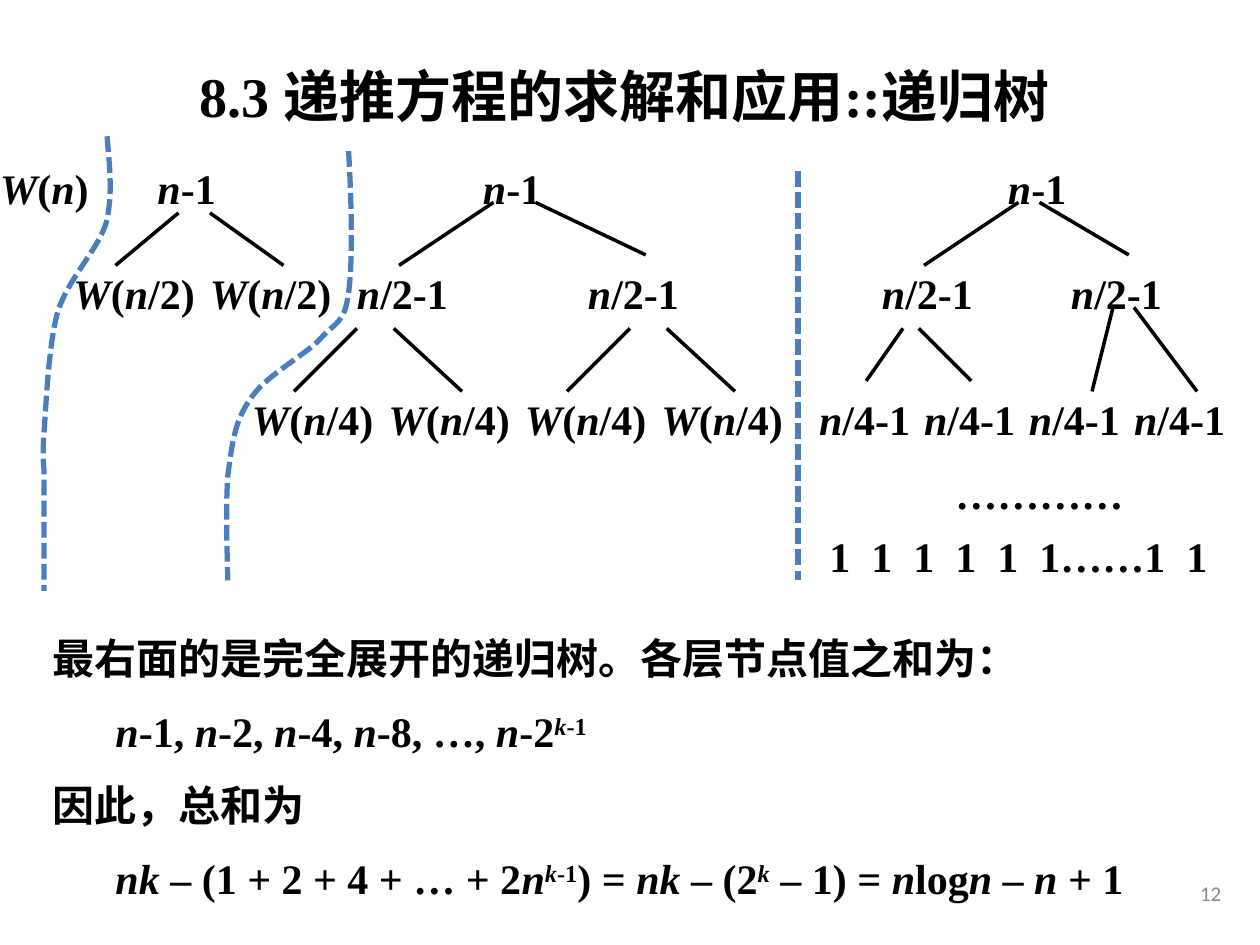
from lxml.etree import SubElement
from pptx import Presentation
from pptx.dml.color import RGBColor
from pptx.enum.dml import MSO_LINE
from pptx.enum.shapes import MSO_CONNECTOR
from pptx.enum.text import MSO_ANCHOR, PP_ALIGN
from pptx.oxml.ns import qn
from pptx.util import Inches, Pt

UNIT = 1 / 12   # grid step in inches
TOP = 0.19      # height of grid row 0


def paint(code):
    return RGBColor.from_string(code)


def col(num):
    return Inches(num * UNIT)


def row(num):
    return Inches(TOP + num * UNIT)


def write(para, text, font="Times New Roman", size=24, color="000000",
          bold=True, align=PP_ALIGN.LEFT, lead=None, before=0, indent=0):
    """Fill a paragraph; _x_ is italic and ^x^ is superscript."""
    para.alignment = align
    para.space_before = Pt(before)
    if lead:
        para.line_spacing = lead
    if indent:
        para._p.get_or_add_pPr().set("marL", str(col(indent)))
    for high, part in enumerate(text.split("^")):
        for slant, bit in enumerate(part.split("_")):
            if not bit:
                continue
            run = para.add_run()
            run.text = bit
            face = run.font
            face.name, face.size, face.bold = font, Pt(size), bold
            face.italic = slant % 2 == 1
            face.color.rgb = paint(color)
            if high % 2:
                run._r.get_or_add_rPr().set("baseline", "30000")


class Board:
    ink, blue = "000000", "4B7EBC"
    flow = dict(lead=1.25, before=6)

    def __init__(self, slide):
        self.slide = slide

    def box(self, x, y, wide, high, inset=True):
        frame = self.slide.shapes.add_textbox(
            col(x), row(y), col(wide), col(high)).text_frame
        frame.word_wrap = True
        if not inset:
            frame.margin_left = frame.margin_right = frame.margin_top = 0
        return frame

    def label(self, x, y, wide, high, text, **style):
        frame = self.box(x, y, wide, high)
        frame.vertical_anchor = MSO_ANCHOR.MIDDLE
        write(frame.paragraphs[0], text, **style)

    def node(self, x, y, wide, text):
        frame = self.box(x, y, wide, 7, inset=False)
        write(frame.paragraphs[0], text, **self.flow)

    def body(self, x, y, wide, high, lines):
        frame = self.box(x, y, wide, high, inset=False)
        for num, (text, style) in enumerate(lines):
            para = frame.add_paragraph() if num else frame.paragraphs[0]
            write(para, text, **self.flow, **style)

    def stroke(self, shape, dash):
        line = shape.line
        line.color.rgb = paint(self.blue if dash else self.ink)
        line.width = Pt(3 if dash else 2)
        if dash:
            line.dash_style = MSO_LINE.SQUARE_DOT

    def line(self, x1, y1, x2, y2, dash=False):
        link = self.slide.shapes.add_connector(
            MSO_CONNECTOR.STRAIGHT, col(x1), row(y1), col(x2), row(y2))
        self.stroke(link, dash)
        SubElement(link.element.spPr, qn("a:effectLst"))

    def curve(self, start, *knots):
        pen = self.slide.shapes.build_freeform(col(start[0]), row(start[1]))
        pen.add_line_segments([(col(x), row(y)) for x, y in knots], close=False)
        shape = pen.convert_to_shape()
        shape.shadow.inherit = False
        shape.fill.background()
        self.stroke(shape, True)
        # Turn every three straight steps into one cubic step
        steps = shape.element.xpath(".//a:lnTo")
        for num in range(0, len(steps), 3):
            bend, *rest = steps[num:num + 3]
            bend.tag = qn("a:cubicBezTo")
            for step in rest:
                bend.append(step[0])
                step.getparent().remove(step)


deck = Presentation()
deck.slide_width, deck.slide_height = Inches(10), Inches(7.5)
board = Board(deck.slides.add_slide(deck.slide_layouts[6]))

# Title and slide number
board.label(3, 2.75, 113, 8, "8.3 递推方程的求解和应用::递归树",
            size=32, align=PP_ALIGN.CENTER)
board.label(109, 79.7, 8.5, 6.2, "12", font="Calibri", size=12,
            color="898989", bold=False, align=PP_ALIGN.RIGHT)

# Tree nodes: row, width, text, columns
levels = [
    (12, 10.7, "_W_(_n_)", [0]),
    (12, 7, "_n_-1", [15, 46, 96]),
    (22, 12, "_W_(_n_/2)", [7, 20]),
    (22, 11, "_n_/2-1", [34, 56, 84, 102]),
    (34, 12, "_W_(_n_/4)", [24, 37, 50, 63]),
    (34, 9, "_n_/4-1", [78, 88, 98, 108]),
    (41, 18, "…………", [91]),
    (47, 37, "1  1  1  1  1  1……1  1", [79]),
]
for y, wide, text, spots in levels:
    for x in spots:
        board.node(x, y, wide, text)

# Branches
branches = [
    (17, 18, 11, 23), (20, 18, 27, 23),
    (47, 17, 38, 23), (51, 17, 61.5, 22),
    (34, 29, 28, 35), (37.5, 29, 44, 35),
    (60, 29, 54, 35), (63.5, 29, 70, 35),
    (97, 17, 88, 23), (99, 17, 107.5, 22),
    (86, 29, 82.5, 34), (87.5, 29, 92.5, 34),
    (106, 27, 104, 35), (108, 27, 114, 35),
]
for ends in branches:
    board.line(*ends)

# Dashed dividers between the stages
board.curve((10.2, 10.7),
            (10.4, 13.4), (10.8, 16.2), (10.1, 19),
            (9.2, 21.7), (6.6, 24.1), (5.5, 27.4),
            (4.6, 30.7), (4.4, 36.2), (4.2, 38.8),
            (4, 41.3), (4.2, 42.5), (4.2, 42.5),
            (4.2, 42.5), (4.2, 54), (4.2, 54))
board.curve((33.2, 12.1),
            (33.5, 17.3), (33.6, 22.6), (33.2, 25.6),
            (32.8, 28.6), (32, 28.3), (30.5, 30),
            (28.9, 31.7), (25.2, 33.5), (23.8, 35.8),
            (22.3, 37.9), (22.1, 40.1), (21.7, 43),
            (21.5, 45.8), (21.6, 49.4), (21.7, 53))
board.line(76, 14, 76, 53, dash=True)

# Sums
prose, maths = dict(font="Arial"), dict(indent=6)
board.body(5, 56.75, 110, 27, [
    ("最右面的是完全展开的递归树。各层节点值之和为：", prose),
    ("_n_-1, _n_-2, _n_-4, _n_-8, …, _n_-2^_k_-1", maths),
    ("因此，总和为", prose),
    ("_nk_ – (1 + 2 + 4 + … + 2_n_^_k_-1^) = _nk_ – (2^_k_^ – 1)"
     " = _n_log_n_ – _n_ + 1", maths),
])

deck.save("out.pptx")
